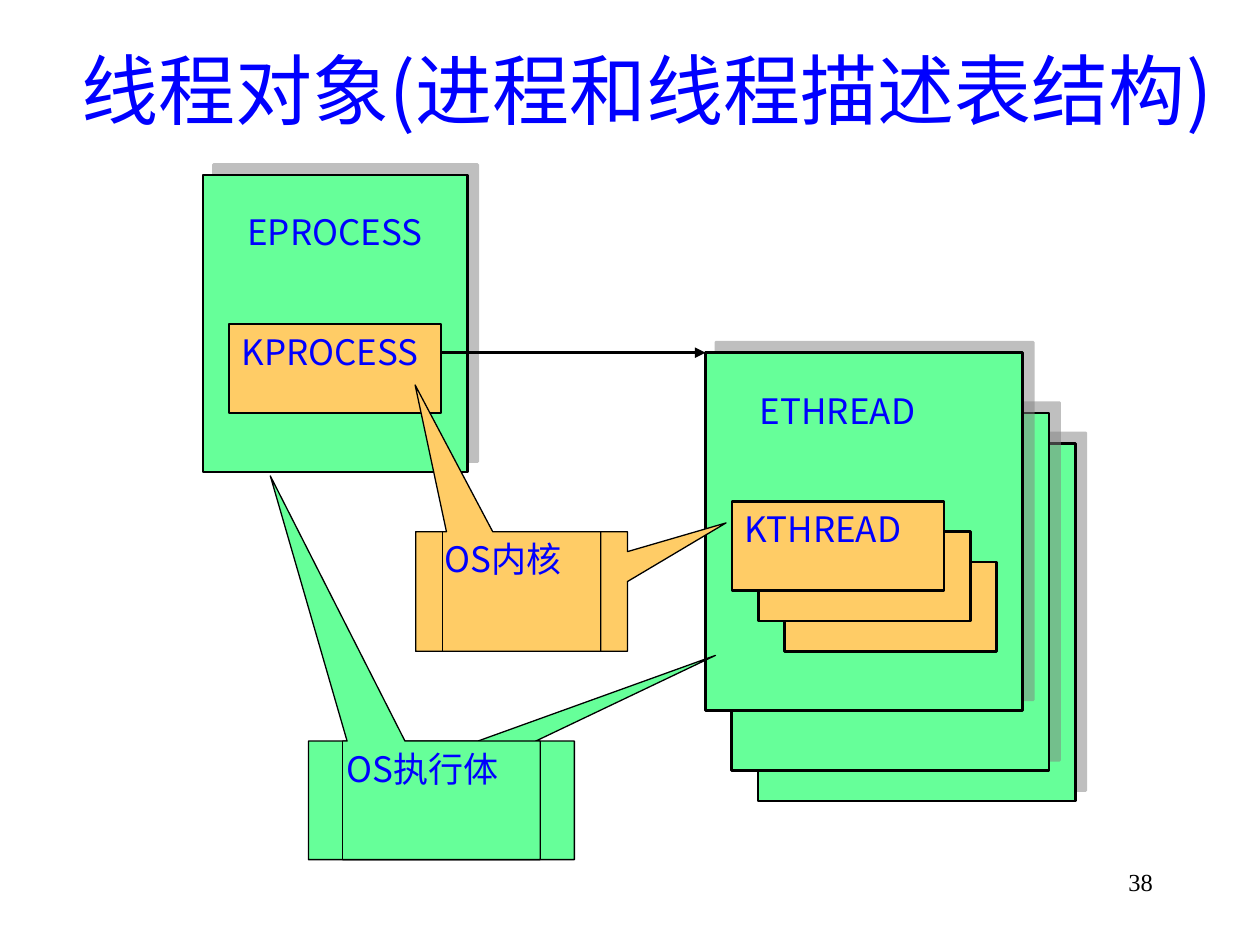
from lxml.etree import SubElement
from pptx import Presentation
from pptx.dml.color import RGBColor
from pptx.enum.shapes import MSO_CONNECTOR, MSO_SHAPE
from pptx.enum.text import MSO_ANCHOR, MSO_AUTO_SIZE, PP_ALIGN
from pptx.oxml.ns import qn
from pptx.util import Cm, Pt

THEME = {
    "executive": RGBColor(0x66, 0xFF, 0x99),
    "kernel": RGBColor(0xFF, 0xCC, 0x66),
    "ink": RGBColor(0, 0, 0),
    "text": RGBColor(0, 0, 0xFF),
    "shadow": "808080",
    "font": "Noto Sans CJK JP",
    "number_font": "Times New Roman",
    "title_size": 44, "label_size": 20, "number_size": 14,
    "box_line": 1.5, "callout_line": 0.75,
}

# Lengths in centimetres
TITLE = "线程对象(进程和线程描述表结构)"
PAGE_NUMBER = "38"
STEP_X, STEP_Y = 0.53, 0.61
LABEL_SIZE = (4.27, 1.8)
PROCESS = (4.09, 3.53, 5.33, 5.99)
PROCESS_LABELS = (4.62, 4.11, 6.53)  # left, EPROCESS top, KPROCESS top
THREAD = (14.22, 7.11, 6.4, 7.21)
THREAD_STACK = ((2, 3), (1, 2), (0, 0))  # steps right and down, back to front
KTHREAD = (14.76, 10.11)
# role, label, indent, left of front, left of back, top, size, front tip, back tip
CALLOUTS = (
    ("kernel", "OS内核", 0.33, 8.38, 8.92, 10.72, (3.73, 2.41),
     (-0.503, -1.728), (1.033, -0.574)),
    ("executive", "OS执行体", 0.51, 6.22, 6.91, 14.94, (4.67, 2.39),
     (-0.665, -2.737), (1.109, -1.223)),
)


def style_text(frame, words, size, color, font, align):
    frame.text = words
    frame.word_wrap = True
    paragraph = frame.paragraphs[0]
    paragraph.alignment = align
    for run in paragraph.runs:
        run.font.size = Pt(size)
        run.font.color.rgb = color
        run.font.name = font
        SubElement(run.font._element, qn("a:ea"), typeface=font)


def add_block(slide, bounds, role, line_width=None, label=None,
              align=PP_ALIGN.JUSTIFY, preset=MSO_SHAPE.RECTANGLE):
    block = slide.shapes.add_shape(preset, *map(Cm, bounds))
    block.shadow.inherit = False
    block.fill.solid()
    block.fill.fore_color.rgb = THEME[role]
    if line_width:
        block.line.color.rgb = THEME["ink"]
        block.line.width = Pt(line_width)
    else:
        block.line.fill.background()
    if label:
        block.text_frame.vertical_anchor = MSO_ANCHOR.TOP
        style_text(block.text_frame, label, THEME["label_size"],
                   THEME["text"], THEME["font"], align)
    return block


def add_shadowed_block(slide, bounds):
    """Green block whose half-transparent shadow falls up and to the right."""
    block = add_block(slide, bounds, "executive", THEME["box_line"])
    effects = block._element.spPr.find(qn("a:effectLst"))
    shadow = SubElement(effects, qn("a:outerShdw"), dist=str(Pt(8.5)),
                        dir="18900000", algn="ctr", rotWithShape="0")
    color = SubElement(shadow, qn("a:srgbClr"), val=THEME["shadow"])
    SubElement(color, qn("a:alpha"), val="50000")


def add_rule(slide, start, end, width, arrow=False):
    rule = slide.shapes.add_connector(
        MSO_CONNECTOR.STRAIGHT, *map(Cm, (*start, *end)))
    rule.line.color.rgb = THEME["ink"]
    rule.line.width = Pt(width)
    if arrow:
        SubElement(rule.line._get_or_add_ln(), qn("a:tailEnd"), type="triangle")
    SubElement(rule._element.spPr, qn("a:effectLst"))


def add_callout(slide, role, label, indent, front, back, top, size,
                front_tip, back_tip):
    """Two overlapping callouts that read as one box with two pointers."""
    width = THEME["callout_line"]
    for left, tip, words in ((back, back_tip, None), (front, front_tip, label)):
        callout = add_block(slide, (left, top, *size), role, width, words,
                            preset=MSO_SHAPE.RECTANGULAR_CALLOUT)
        callout.adjustments[0], callout.adjustments[1] = tip
    callout.text_frame.margin_left = Cm(0.25 + indent)
    add_rule(slide, (back, top), (back, top + size[1]), width)


def add_title(slide):
    title = slide.shapes.title
    title.left, title.top, title.width, title.height = map(
        Cm, (1.3, 1.14, 23.47, 3.18))
    frame = title.text_frame
    style_text(frame, TITLE, THEME["title_size"], THEME["text"],
               THEME["font"], PP_ALIGN.CENTER)
    frame.auto_size = MSO_AUTO_SIZE.NONE
    frame.vertical_anchor = MSO_ANCHOR.MIDDLE
    frame.margin_bottom = Cm(2)


def main():
    deck = Presentation()
    deck.slide_width, deck.slide_height = Cm(25.4), Cm(19.05)
    slide = deck.slides.add_slide(deck.slide_layouts[5])
    add_title(slide)

    thread_left, thread_top, *thread_size = THREAD
    threads = [(thread_left + right * STEP_X, thread_top + down * STEP_Y,
                *thread_size) for right, down in THREAD_STACK]
    label_left, eprocess_top, kprocess_top = PROCESS_LABELS
    box_line = THEME["box_line"]

    for bounds in (*threads[:-1], PROCESS):
        add_shadowed_block(slide, bounds)
    add_block(slide, (label_left, eprocess_top, *LABEL_SIZE), "executive",
              label="EPROCESS", align=PP_ALIGN.CENTER)
    add_block(slide, (label_left, kprocess_top, *LABEL_SIZE), "kernel",
              box_line, "KPROCESS")

    add_shadowed_block(slide, threads[-1])
    add_block(slide, (thread_left + STEP_X, thread_top + STEP_Y, *LABEL_SIZE),
              "executive", label="ETHREAD", align=PP_ALIGN.CENTER)
    for depth in (2, 1, 0):
        add_block(slide, (KTHREAD[0] + depth * STEP_X,
                          KTHREAD[1] + depth * STEP_Y, *LABEL_SIZE),
                  "kernel", box_line, None if depth else "KTHREAD")

    add_rule(slide, (label_left + LABEL_SIZE[0], thread_top),
             (thread_left, thread_top), box_line, arrow=True)
    for callout in CALLOUTS:
        add_callout(slide, *callout)

    number = slide.shapes.add_textbox(*map(Cm, (18.21, 17.35, 5.28, 1.27)))
    style_text(number.text_frame, PAGE_NUMBER, THEME["number_size"],
               THEME["ink"], THEME["number_font"], PP_ALIGN.RIGHT)
    deck.save("out.pptx")


if __name__ == "__main__":
    main()
